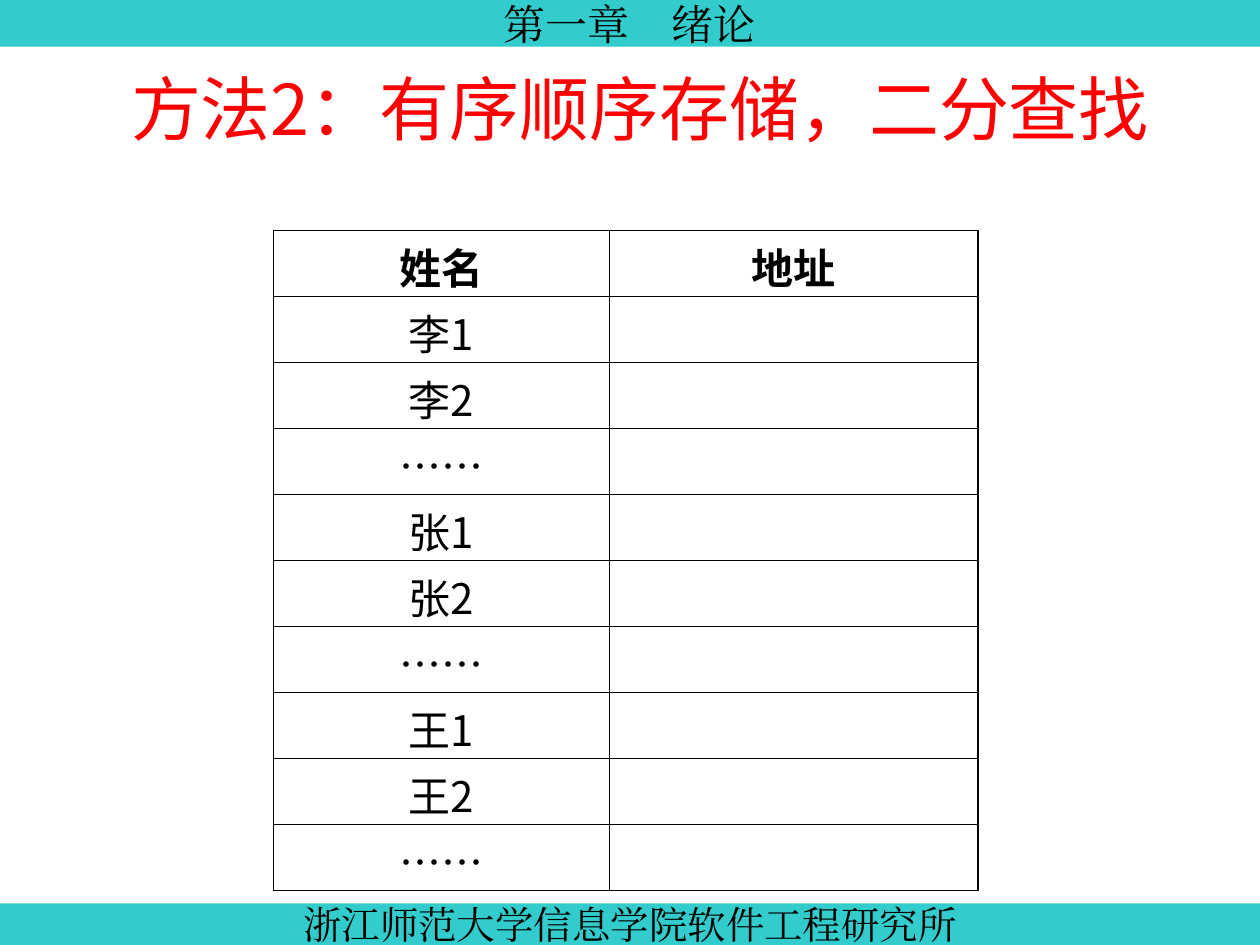
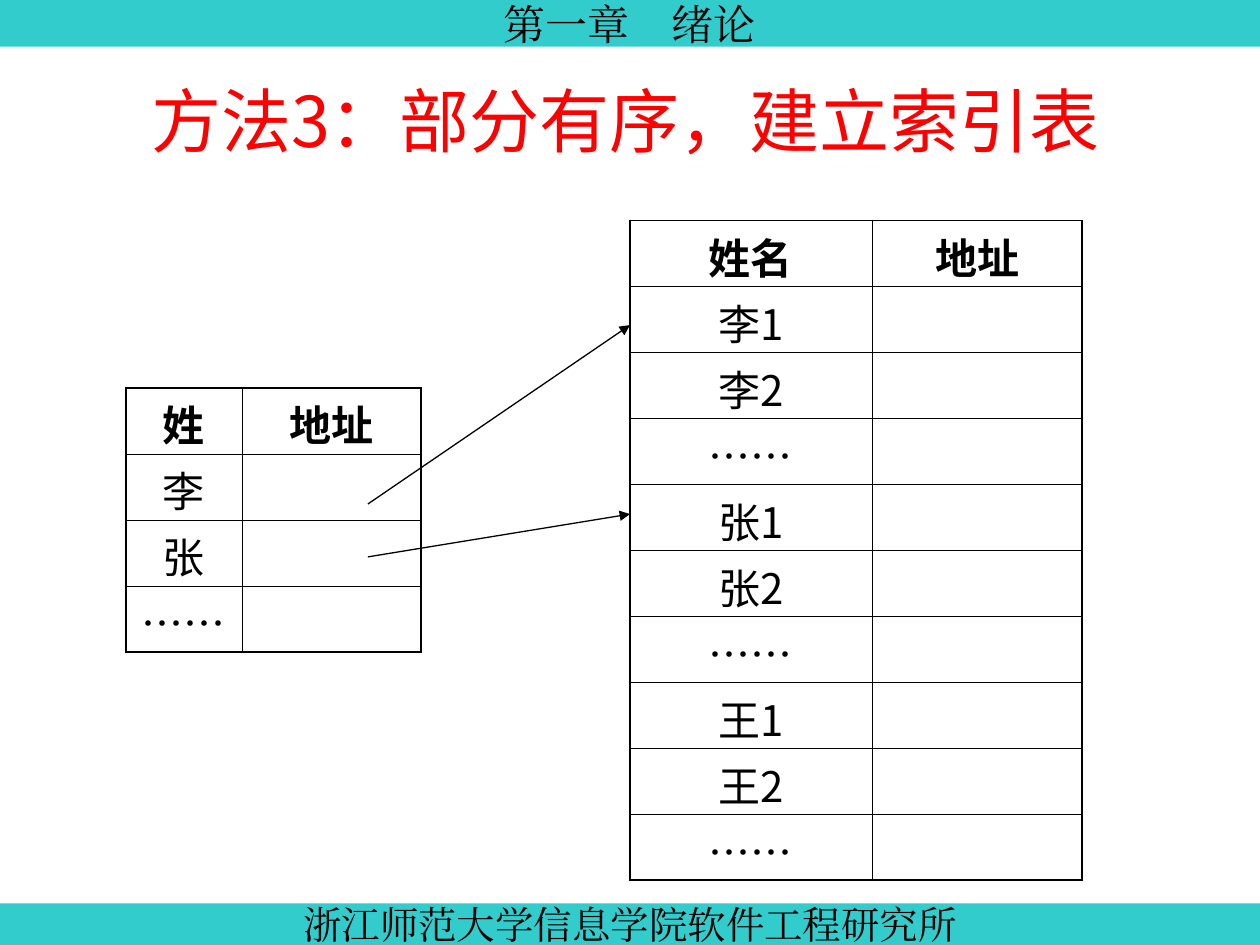
from dataclasses import dataclass

from lxml.etree import SubElement
from pptx import Presentation
from pptx.dml.color import RGBColor
from pptx.enum.shapes import MSO_CONNECTOR, MSO_SHAPE
from pptx.enum.text import MSO_ANCHOR, MSO_AUTO_SIZE, PP_ALIGN
from pptx.oxml.ns import qn
from pptx.util import Inches, Pt


@dataclass(frozen=True)
class Theme:
    band: RGBColor = RGBColor(0x33, 0xCC, 0xCC)
    title: RGBColor = RGBColor(0xFF, 0x00, 0x00)
    ink: RGBColor = RGBColor(0x00, 0x00, 0x00)
    band_font: str = "Times New Roman"
    title_font: str = "Noto Sans CJK SC"
    table_font: str = "Noto Sans CJK JP"
    title_size: int = 40
    header_size: int = 24
    footer_size: int = 22
    table_size: int = 24
    outer_line: float = 1.08
    inner_line: float = 0.45
    arrow_line: float = 0.75


@dataclass(frozen=True)
class Band:
    text: str
    top: float
    height: float
    size: int


@dataclass(frozen=True)
class Title:
    text: str
    left: float
    top: float
    width: float


@dataclass(frozen=True)
class Listing:
    """A two-column table: a header row, then keys with empty addresses."""
    left: float
    top: float
    columns: tuple[float, float]
    header: tuple[str, str]
    keys: tuple[str, ...]


@dataclass(frozen=True)
class Arrow:
    start: tuple[float, float]
    end: tuple[float, float]


@dataclass(frozen=True)
class Page:
    title: Title
    listings: tuple[Listing, ...]
    arrows: tuple[Arrow, ...] = ()


THEME = Theme()
ROW_HEIGHT = Inches(5.24) // 10
TITLE_HEIGHT = 0.92
TITLE_ONLY = 5
FIRST_BAND_ID = 100

BANDS = (
    Band("第一章\u3000绪论".replace("\u3000", "　"), 0, 0.37, THEME.header_size),
    Band("浙江师范大学信息学院软件工程研究所", 7.17, 0.33, THEME.footer_size),
)
NAME_HEADER = ("姓名", "地址")
NAMES = ("李1", "李2", "……", "张1", "张2", "……", "王1", "王2", "……")
PAGES = (
    Page(
        Title("方法2：有序顺序存储，二分查找", 0.92, 0.33, 8.83),
        (Listing(2.17, 1.83, (2.67, 2.92), NAME_HEADER, NAMES),),
    ),
    Page(
        Title("方法3：部分有序，建立索引表", 1.08, 0.42, 8.58),
        (
            Listing(5, 1.75, (1.92, 1.67), NAME_HEADER, NAMES),
            Listing(1, 3.08, (0.92, 1.42), ("姓", "地址"), ("李", "张", "……")),
        ),
        (Arrow((2.92, 4), (5, 2.58)), Arrow((2.92, 4.42), (5, 4.08))),
    ),
)


def write_text(frame, text: str, *, font: str, size: int, color: RGBColor = THEME.ink,
               bold: bool = False, align=PP_ALIGN.CENTER,
               line_spacing: float | None = None) -> None:
    paragraph = frame.paragraphs[0]
    paragraph.alignment = align
    paragraph.line_spacing = line_spacing
    run = paragraph.add_run()
    run.text = text
    run.font.name = font
    run.font.size = Pt(size)
    run.font.bold = bold
    run.font.color.rgb = color
    SubElement(run.font._element, qn("a:ea")).set("typeface", font)


def set_margins(target, side: float, top: float, bottom: float) -> None:
    target.margin_left = target.margin_right = Inches(side)
    target.margin_top = Inches(top)
    target.margin_bottom = Inches(bottom)


def move_bands_to_master(presentation, slide) -> None:
    """Draw the bands on a slide, then hand them to the master for all slides."""
    for band_id, band in enumerate(BANDS, FIRST_BAND_ID):
        shape = slide.shapes.add_shape(
            MSO_SHAPE.RECTANGLE, 0, Inches(band.top),
            presentation.slide_width, Inches(band.height))
        shape.shadow.inherit = False
        shape.fill.solid()
        shape.fill.fore_color.rgb = THEME.band
        shape.line.fill.background()
        frame = shape.text_frame
        frame.word_wrap = False
        frame.vertical_anchor = MSO_ANCHOR.MIDDLE
        set_margins(frame, 0.1, 0.05, 0.05)
        write_text(frame, band.text, font=THEME.band_font, size=band.size)
        shape.element.nvSpPr.cNvPr.set("id", str(band_id))
        presentation.slide_master.shapes.element.append(shape.element)


def place_title(slide, title: Title) -> None:
    shape = slide.shapes.title
    shape.left, shape.top = Inches(title.left), Inches(title.top)
    shape.width, shape.height = Inches(title.width), Inches(TITLE_HEIGHT)
    frame = shape.text_frame
    frame.word_wrap = True
    frame.auto_size = MSO_AUTO_SIZE.NONE
    frame.vertical_anchor = MSO_ANCHOR.TOP
    set_margins(frame, 0.12, 0.06, 0.06)
    write_text(frame, title.text, font=THEME.title_font, size=THEME.title_size,
               color=THEME.title, align=PP_ALIGN.LEFT, line_spacing=1.2)


def set_borders(cell, outer_edges: dict[str, bool]) -> None:
    properties = cell._tc.get_or_add_tcPr()
    for edge, is_outer in outer_edges.items():
        width = THEME.outer_line if is_outer else THEME.inner_line
        line = SubElement(properties, qn(f"a:{edge}"), w=str(int(Pt(width))))
        fill = SubElement(line, qn("a:solidFill"))
        SubElement(fill, qn("a:srgbClr"), val=str(THEME.ink))


def add_listing(slide, listing: Listing) -> None:
    rows = [listing.header] + [(key, "") for key in listing.keys]
    table = slide.shapes.add_table(
        len(rows), len(listing.columns), Inches(listing.left), Inches(listing.top),
        Inches(sum(listing.columns)), ROW_HEIGHT * len(rows)).table
    table.first_row = table.horz_banding = False
    for column, width in zip(table.columns, listing.columns):
        column.width = Inches(width)
    for row_index, texts in enumerate(rows):
        table.rows[row_index].height = ROW_HEIGHT
        for column_index, text in enumerate(texts):
            cell = table.cell(row_index, column_index)
            set_margins(cell, 0.12, 0.04, 0)
            set_borders(cell, {
                "lnL": column_index == 0,
                "lnR": column_index == len(texts) - 1,
                "lnT": row_index == 0,
                "lnB": row_index == len(rows) - 1,
            })
            cell.fill.background()
            if text:
                write_text(cell.text_frame, text, font=THEME.table_font,
                           size=THEME.table_size, bold=row_index == 0)


def add_arrow(slide, arrow: Arrow) -> None:
    connector = slide.shapes.add_connector(
        MSO_CONNECTOR.STRAIGHT, *map(Inches, arrow.start + arrow.end))
    connector.line.color.rgb = THEME.ink
    connector.line.width = Pt(THEME.arrow_line)
    SubElement(connector.line._get_or_add_ln(), qn("a:tailEnd"), type="triangle")
    SubElement(connector.element.spPr, qn("a:effectLst"))


def main() -> None:
    presentation = Presentation()
    presentation.slide_width, presentation.slide_height = Inches(10), Inches(7.5)
    layout = presentation.slide_layouts[TITLE_ONLY]
    slides = [presentation.slides.add_slide(layout) for _ in PAGES]
    move_bands_to_master(presentation, slides[0])
    for slide, page in zip(slides, PAGES):
        place_title(slide, page.title)
        for listing in page.listings:
            add_listing(slide, listing)
        for arrow in page.arrows:
            add_arrow(slide, arrow)
    presentation.save("out.pptx")


if __name__ == "__main__":
    main()
